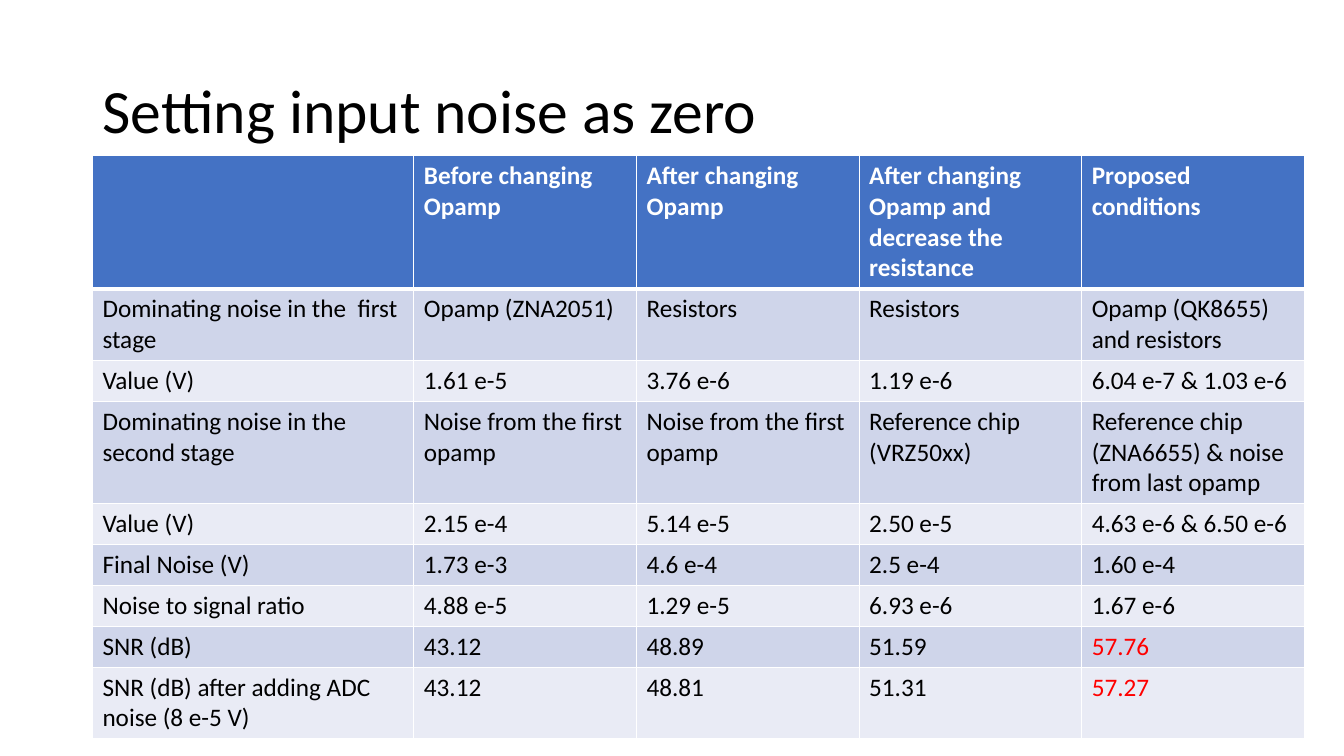
from dataclasses import dataclass

from lxml.etree import SubElement
from pptx import Presentation
from pptx.dml.color import RGBColor
from pptx.enum.text import MSO_ANCHOR, MSO_AUTO_SIZE, PP_ALIGN
from pptx.oxml.ns import qn
from pptx.util import Cm, Pt

FONT = "Calibri"
WHITE, BLACK, RED = "FFFFFF", "000000", "FF0000"
HEADER_FILL = "4472C4"
BAND_FILLS = ("E9EBF5", "CFD5EA")
COL_WIDTHS = (8.1, 5.61, 5.61, 5.61, 5.61)
ROW_HEIGHT = 1.03


@dataclass
class NoiseRow:
    label: str
    values: tuple[str, ...]
    highlight_last: bool = False


HEADER = NoiseRow("", (
    "Before changing Opamp", "After changing Opamp",
    "After changing Opamp and decrease the resistance", "Proposed conditions"))
ROWS = [
    NoiseRow("Dominating noise in the  first stage", (
        "Opamp (ZNA2051)", "Resistors", "Resistors",
        "Opamp (QK8655)\nand resistors")),
    NoiseRow("Value (V)", (
        "1.61 e-5", "3.76 e-6", "1.19 e-6", "6.04 e-7 & 1.03 e-6")),
    NoiseRow("Dominating noise in the second stage", (
        "Noise from the first opamp", "Noise from the first opamp",
        "Reference chip (VRZ50xx)",
        "Reference chip (ZNA6655) & noise from last opamp")),
    NoiseRow("Value (V)", (
        "2.15 e-4", "5.14 e-5", "2.50 e-5", "4.63 e-6 & 6.50 e-6")),
    NoiseRow("Final Noise (V)", ("1.73 e-3", "4.6 e-4", "2.5 e-4", "1.60 e-4")),
    NoiseRow("Noise to signal ratio", (
        "4.88 e-5", "1.29 e-5", "6.93 e-6", "1.67 e-6")),
    NoiseRow("SNR (dB)", ("43.12", "48.89", "51.59", "57.76"), True),
    NoiseRow("SNR (dB) after adding ADC noise (8 e-5 V)", (
        "43.12", "48.81", "51.31", "57.27"), True),
]


def rgb(value: str) -> RGBColor:
    return RGBColor.from_string(value)


def write(tf, text: str, *, size: float = 18, color: str = BLACK,
          bold: bool = False, spacing: float = 1.0) -> None:
    """Fill a text frame, one paragraph per line of text."""
    for i, line in enumerate(text.split("\n")):
        p = tf.add_paragraph() if i else tf.paragraphs[0]
        p.alignment = PP_ALIGN.LEFT
        p.line_spacing = spacing
        p.font.size = Pt(size)
        if line:
            r = p.add_run()
            r.text = line
            r.font.name = FONT
            r.font.size = Pt(size)
            r.font.bold = bold
            r.font.color.rgb = rgb(color)


def add_border(cell, side: str, width: float) -> None:
    ln = SubElement(cell._tc.get_or_add_tcPr(), qn(f"a:ln{side}"),
                    w=str(Pt(width)))
    SubElement(SubElement(ln, qn("a:solidFill")), qn("a:srgbClr"), val=WHITE)


def draw_row(table, index: int, row: NoiseRow) -> None:
    is_header = index == 0
    texts = (row.label, *row.values)
    for col, text in enumerate(texts):
        cell = table.cell(index, col)
        for side in "LRTB":
            # The rule under the header is thicker
            thick = (side == "B" and is_header) or (side == "T" and index == 1)
            add_border(cell, side, 3 if thick else 1)
        cell.fill.solid()
        cell.fill.fore_color.rgb = rgb(
            HEADER_FILL if is_header else BAND_FILLS[index % 2])
        color = WHITE if is_header else BLACK
        if row.highlight_last and col == len(texts) - 1:
            color = RED
        write(cell.text_frame, text, color=color, bold=is_header)


def main() -> None:
    prs = Presentation()
    prs.slide_width, prs.slide_height = Cm(33.87), Cm(19.05)
    s = prs.slides.add_slide(prs.slide_layouts[5])

    # Title
    title = s.shapes.title
    title.left, title.top = Cm(2.33), Cm(1.01)
    title.width, title.height = Cm(29.21), Cm(3.68)
    tf = title.text_frame
    tf.auto_size = MSO_AUTO_SIZE.NONE
    tf.vertical_anchor = MSO_ANCHOR.MIDDLE
    write(tf, "Setting input noise as zero", size=44, spacing=0.9)

    # Noise comparison table
    rows = [HEADER, *ROWS]
    table = s.shapes.add_table(
        len(rows), len(COL_WIDTHS), Cm(2.33), Cm(3.92),
        Cm(sum(COL_WIDTHS)), Cm(ROW_HEIGHT * len(rows))).table
    for column, width in zip(table.columns, COL_WIDTHS):
        column.width = Cm(width)
    for index, row in enumerate(rows):
        table.rows[index].height = Cm(ROW_HEIGHT)
        draw_row(table, index, row)

    prs.save("out.pptx")


if __name__ == "__main__":
    main()
